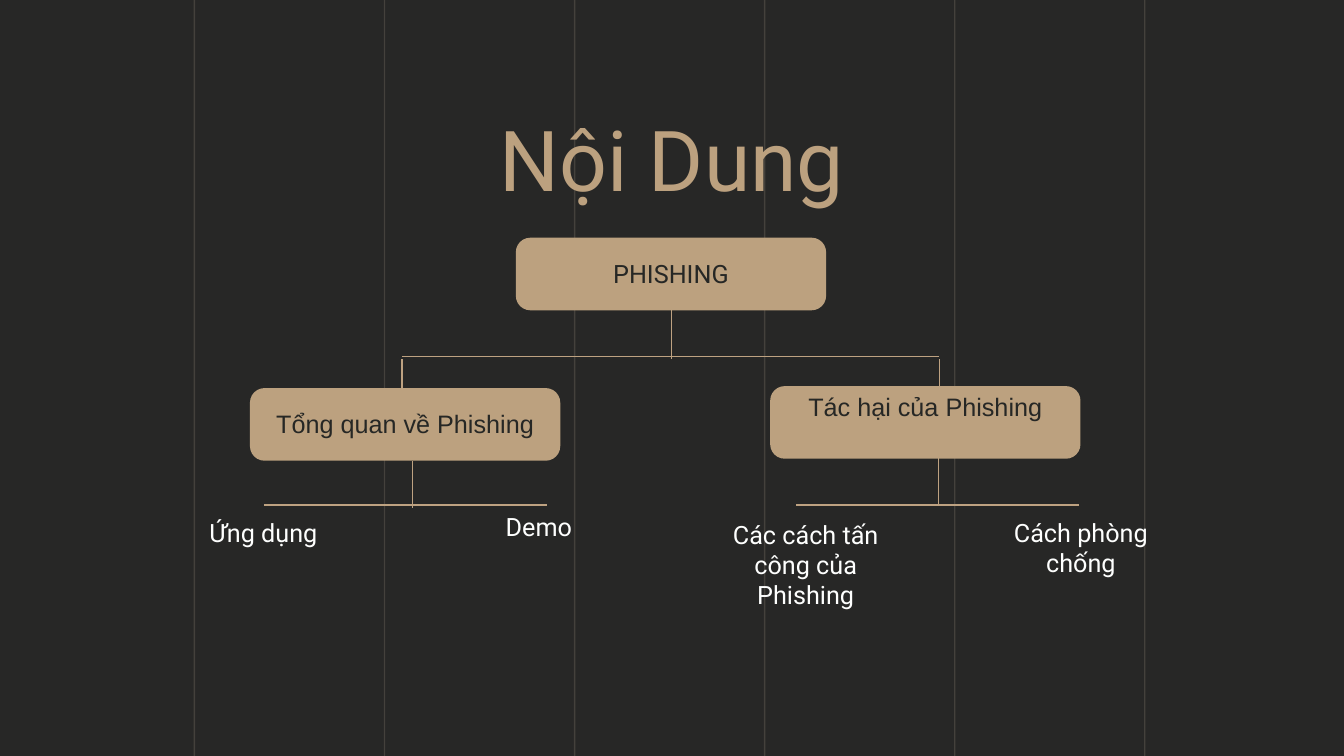
from lxml import etree
from pptx import Presentation
from pptx.dml.color import RGBColor
from pptx.enum.shapes import MSO_CONNECTOR, MSO_SHAPE
from pptx.enum.text import MSO_ANCHOR, MSO_AUTO_SIZE, PP_ALIGN
from pptx.oxml.ns import qn
from pptx.util import Cm, Pt

STRAIGHT = MSO_CONNECTOR.STRAIGHT
ROUNDED = MSO_SHAPE.ROUNDED_RECTANGLE
CENTER = PP_ALIGN.CENTER
TOP = MSO_ANCHOR.TOP
GROW = MSO_AUTO_SIZE.SHAPE_TO_FIT_TEXT

BACKGROUND, GUIDE, BRANCH = "272726", "BCAB96", "BEA281"
TAN, DARK, WHITE = "BCA17F", "262725", "FEFFFE"

# All lengths are in centimetres
PAGE_WIDTH, PAGE_HEIGHT = 33.87, 19.05
GUIDE_LEFT, GUIDE_STEP, GUIDE_COUNT = 4.9, 4.79, 6
NODE_WIDTH, NODE_HEIGHT = 7.82, 1.83
NODE_INSET, NODE_TEXT_HEIGHT = 0.34, 1.02

# Text, font, left, top, distance from node top to text box
NODES = [
    ("PHISHING", "Roboto", 13.0, 5.99, 0.38),
    ("Tổng quan về Phishing", "Arial", 6.3, 9.78, 0.38),
    ("Tác hại của Phishing", "Arial", 19.41, 9.73, 0),
]

# Text, left, top, width, height
LEAVES = [
    ("Ứng dụng", 4.52, 12.9, 4.24, 1.02),
    ("Demo", 11.46, 12.75, 4.24, 1.02),
    ("Các cách tấn công của Phishing", 17.98, 12.95, 4.65, 2.57),
    ("Cách phòng chống", 25.12, 12.9, 4.24, 1.8),
]

# Start x, start y, end x, end y
BRANCHES = [
    (16.92, 9.04, 16.92, 7.82),
    (10.13, 8.99, 23.67, 8.99),
    (23.65, 12.73, 23.65, 11.53),
    (20.07, 12.73, 27.2, 12.73),
    (6.65, 12.73, 13.79, 12.73),
]
STUBS = [
    (10.39, 12.8, 10.39, 11.61),
    (23.67, 9.83, 23.67, 9.04),
    (10.13, 9.83, 10.13, 9.04),
]


def paint(color_format, color):
    color_format.rgb = RGBColor.from_string(color)


def add_line(page, ends, color, opacity=100):
    line = page.shapes.add_connector(STRAIGHT, *[Cm(value) for value in ends])
    line.line.width = Pt(1)
    line.line.fill.solid()
    paint(line.line.color, color)
    properties = line._element.spPr
    if opacity < 100:
        tint = properties.find(".//" + qn("a:srgbClr"))
        etree.SubElement(tint, qn("a:alpha")).set("val", str(opacity * 1000))
    etree.SubElement(properties, qn("a:effectLst"))


def add_text(page, text, left, top, width, height, color, font="Roboto", size=18):
    box = page.shapes.add_textbox(Cm(left), Cm(top), Cm(width), Cm(height))
    frame = box.text_frame
    frame.word_wrap = True
    frame.auto_size = GROW
    frame.vertical_anchor = TOP
    frame.margin_left = frame.margin_right = Cm(0.13)
    frame.margin_top = frame.margin_bottom = Cm(0.13)
    paragraph = frame.paragraphs[0]
    paragraph.alignment = CENTER
    span = paragraph.add_run()
    span.text = text
    span.font.name = font
    span.font.size = Pt(size)
    paint(span.font.color, color)


def add_node(page, text, font, left, top, text_drop):
    node = page.shapes.add_shape(
        ROUNDED, Cm(left), Cm(top), Cm(NODE_WIDTH), Cm(NODE_HEIGHT))
    node.adjustments[0] = 0.2
    node.shadow.inherit = False
    node.fill.solid()
    paint(node.fill.fore_color, TAN)
    node.line.fill.background()
    add_text(page, text, left + NODE_INSET, top + text_drop,
             NODE_WIDTH - 2 * NODE_INSET, NODE_TEXT_HEIGHT, DARK, font)


def main():
    deck = Presentation()
    deck.slide_width, deck.slide_height = Cm(PAGE_WIDTH), Cm(PAGE_HEIGHT)
    page = deck.slides.add_slide(deck.slide_layouts[6])
    page.background.fill.solid()
    paint(page.background.fill.fore_color, BACKGROUND)

    # Faint vertical guides
    for index in range(GUIDE_COUNT):
        x = GUIDE_LEFT + index * GUIDE_STEP
        add_line(page, (x, PAGE_HEIGHT, x, 0), GUIDE, opacity=20)

    # Tree branches behind the nodes
    for ends in BRANCHES:
        add_line(page, ends, BRANCH)

    # Leaf labels and title
    for text, *place in LEAVES:
        add_text(page, text, *place, WHITE)
    add_text(page, "Nội Dung", 7.26, 2.59, 19.35, 2.82, TAN, size=60)

    # Nodes, then the stubs that touch them
    for node in NODES:
        add_node(page, *node)
    for ends in STUBS:
        add_line(page, ends, BRANCH)

    deck.save("out.pptx")


main()
